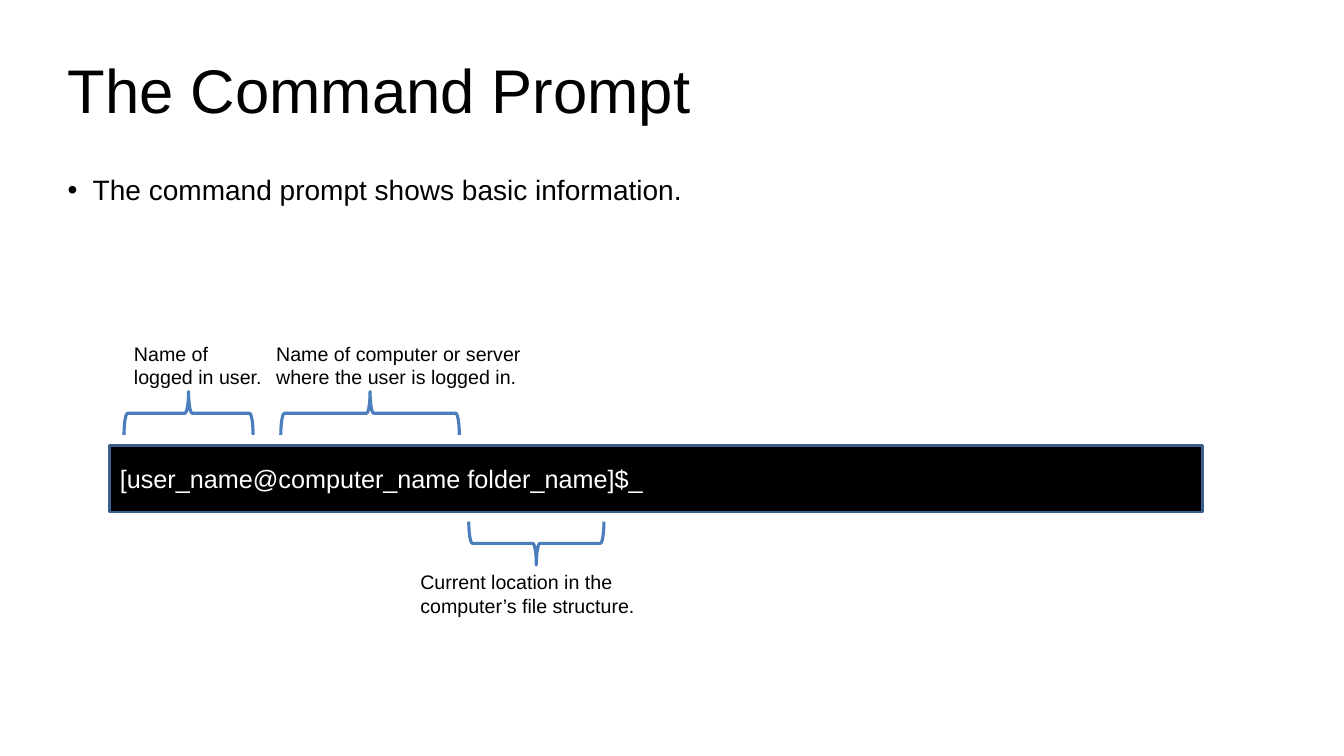
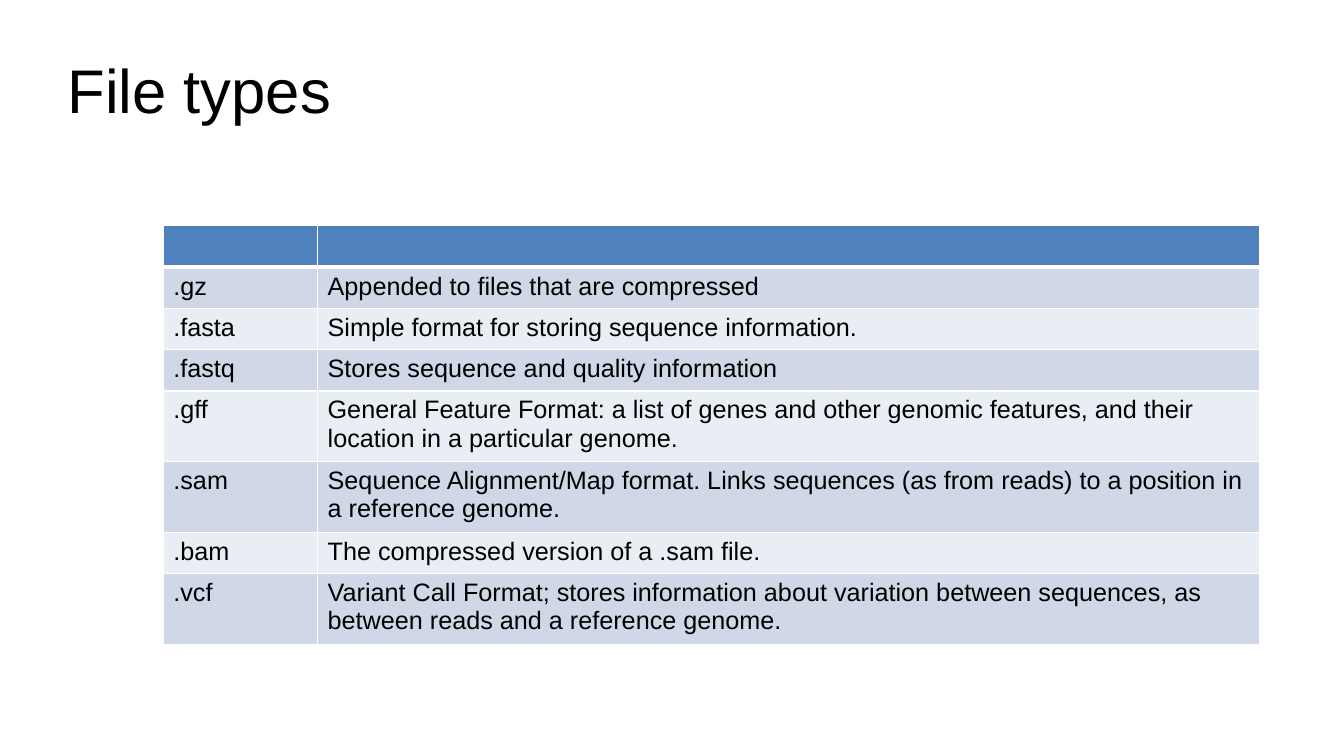
from lxml import etree
from pptx import Presentation
from pptx.dml.color import RGBColor
from pptx.enum import shapes, text
from pptx.oxml.ns import qn
from pptx.util import Inches, Pt

BLACK, WHITE = "000000", "FFFFFF"
OUTLINE, BRACE = "3A5F8C", "4B7EBC"
HEADER, BANDS = "4F81BD", ("D0D8E8", "E9EDF4")

FILE_TYPES = [
    ("", ""),
    (".gz", "Appended to files that are compressed"),
    (".fasta", "Simple format for storing sequence information."),
    (".fastq", "Stores sequence and quality information"),
    (".gff", "General Feature Format: a list of genes and other genomic "
             "features, and their location in a particular genome."),
    (".sam", "Sequence Alignment/Map format. Links sequences (as from reads) "
             "to a position in a reference genome."),
    (".bam", "The compressed version of a .sam file."),
    (".vcf", "Variant Call Format; stores information about variation between "
             "sequences, as between reads and a reference genome."),
]


def color(value):
    return RGBColor.from_string(value)


class Deck:
    """Holds the shared style and the current slide."""

    font = "Arial"
    margin, content_width = 0.67, 12

    def __init__(self):
        self.presentation = Presentation()
        self.presentation.slide_width = Inches(13.33)
        self.presentation.slide_height = Inches(7.5)
        self.slide = None

    def add_slide(self, title):
        layout = self.presentation.slide_layouts[6]
        self.slide = self.presentation.slides.add_slide(layout)
        frame = self.text_box(title, self.margin, 0.3, self.content_width, 1.25, 44, inset=0)
        frame.vertical_anchor = text.MSO_ANCHOR.MIDDLE
        frame.paragraphs[0].line_spacing = 0.9

    def set_text(self, frame, content, size, ink=BLACK):
        frame.word_wrap = True
        frame.text = content
        paragraph = frame.paragraphs[0]
        paragraph.alignment = text.PP_ALIGN.LEFT
        for run in paragraph.runs:
            run.font.name = self.font
            run.font.size = Pt(size)
            run.font.color.rgb = color(ink)

    def text_box(self, content, left, top, width, height, size, inset=None):
        box = self.slide.shapes.add_textbox(
            Inches(left), Inches(top), Inches(width), Inches(height))
        frame = box.text_frame
        if inset is not None:
            frame.margin_left = frame.margin_right = Inches(inset)
            frame.margin_top = frame.margin_bottom = Inches(inset)
        self.set_text(frame, content, size)
        return frame

    def bullet(self, content):
        frame = self.text_box(content, self.margin, 1.75, self.content_width, 1.84, 20, inset=0)
        paragraph = frame.paragraphs[0]
        paragraph.line_spacing = 0.9
        properties = paragraph._p.get_or_add_pPr()
        properties.set("marL", str(Inches(0.25)))
        properties.set("indent", str(Inches(-0.25)))
        etree.SubElement(properties, qn("a:buFont"), typeface=self.font)
        etree.SubElement(properties, qn("a:buChar"), char="•")

    def shape(self, kind, left, top, width, height, line, weight, fill=None):
        shape = self.slide.shapes.add_shape(
            kind, Inches(left), Inches(top), Inches(width), Inches(height))
        shape.shadow.inherit = False
        shape.line.color.rgb = color(line)
        shape.line.width = Pt(weight)
        if fill:
            shape.fill.solid()
            shape.fill.fore_color.rgb = color(fill)
        else:
            shape.fill.background()
        return shape

    def terminal(self, content, left, top, width, height):
        bar = self.shape(shapes.MSO_SHAPE.RECTANGLE, left, top, width, height,
                         OUTLINE, 2, BLACK)
        bar.text_frame.vertical_anchor = text.MSO_ANCHOR.MIDDLE
        self.set_text(bar.text_frame, content, 18, WHITE)

    def brace(self, center_x, center_y, span, rotation):
        depth = 0.43
        brace = self.shape(shapes.MSO_SHAPE.LEFT_BRACE, center_x - depth / 2,
                           center_y - span / 2, depth, span, BRACE, 2.25)
        brace.rotation = rotation

    def cell_borders(self, cell, **weights):
        properties = cell._tc.get_or_add_tcPr()
        for side in "LRTB":
            line = etree.SubElement(properties, qn(f"a:ln{side}"),
                                    w=str(Pt(weights.get(side, 1))))
            fill = etree.SubElement(line, qn("a:solidFill"))
            etree.SubElement(fill, qn("a:srgbClr"), val=WHITE)

    def table(self, rows, left, top, widths, row_height):
        frame = self.slide.shapes.add_table(
            len(rows), len(widths), Inches(left), Inches(top),
            Inches(sum(widths)), Inches(row_height * len(rows)))
        table = frame.table
        for column, width in zip(table.columns, widths):
            column.width = Inches(width)
        for row_index, row in enumerate(rows):
            table.rows[row_index].height = Inches(row_height)
            for column_index, content in enumerate(row):
                cell = table.cell(row_index, column_index)
                # The rule under the header is heavier than the others
                self.cell_borders(cell, T=3 if row_index == 1 else 1,
                                  B=3 if row_index == 0 else 1)
                cell.fill.solid()
                band = BANDS[(row_index - 1) % 2] if row_index else HEADER
                cell.fill.fore_color.rgb = color(band)
                self.set_text(cell.text_frame, content, 18)


def command_prompt(deck):
    deck.add_slide("The Command Prompt")
    deck.terminal("[user_name@computer_name folder_name]$_", 1.09, 4.42, 10.84, 0.66)

    # Braces and labels: centre x, centre y, span, rotation, label, left, top, width
    callouts = [
        (1.87, 4.1, 1.28, 90, "Name of logged in user.", 1.23, 3.34, 1.55),
        (3.67, 4.1, 1.77, 90, "Name of computer or server where the user is logged in.",
         2.64, 3.34, 2.68),
        (5.32, 5.39, 1.34, 270, "Current location in the computer’s file structure.",
         4.07, 5.61, 2.68),
    ]
    for center_x, center_y, span, rotation, label, left, top, width in callouts:
        deck.brace(center_x, center_y, span, rotation)
        deck.text_box(label, left, top, width, 0.57, 14)
    deck.bullet("The command prompt shows basic information.")


def file_types(deck):
    deck.add_slide("File types")
    deck.table(FILE_TYPES, 1.62, 2.24, (1.53, 9.34), 0.41)


def main():
    deck = Deck()
    command_prompt(deck)
    file_types(deck)
    deck.presentation.save("out.pptx")


if __name__ == "__main__":
    main()
